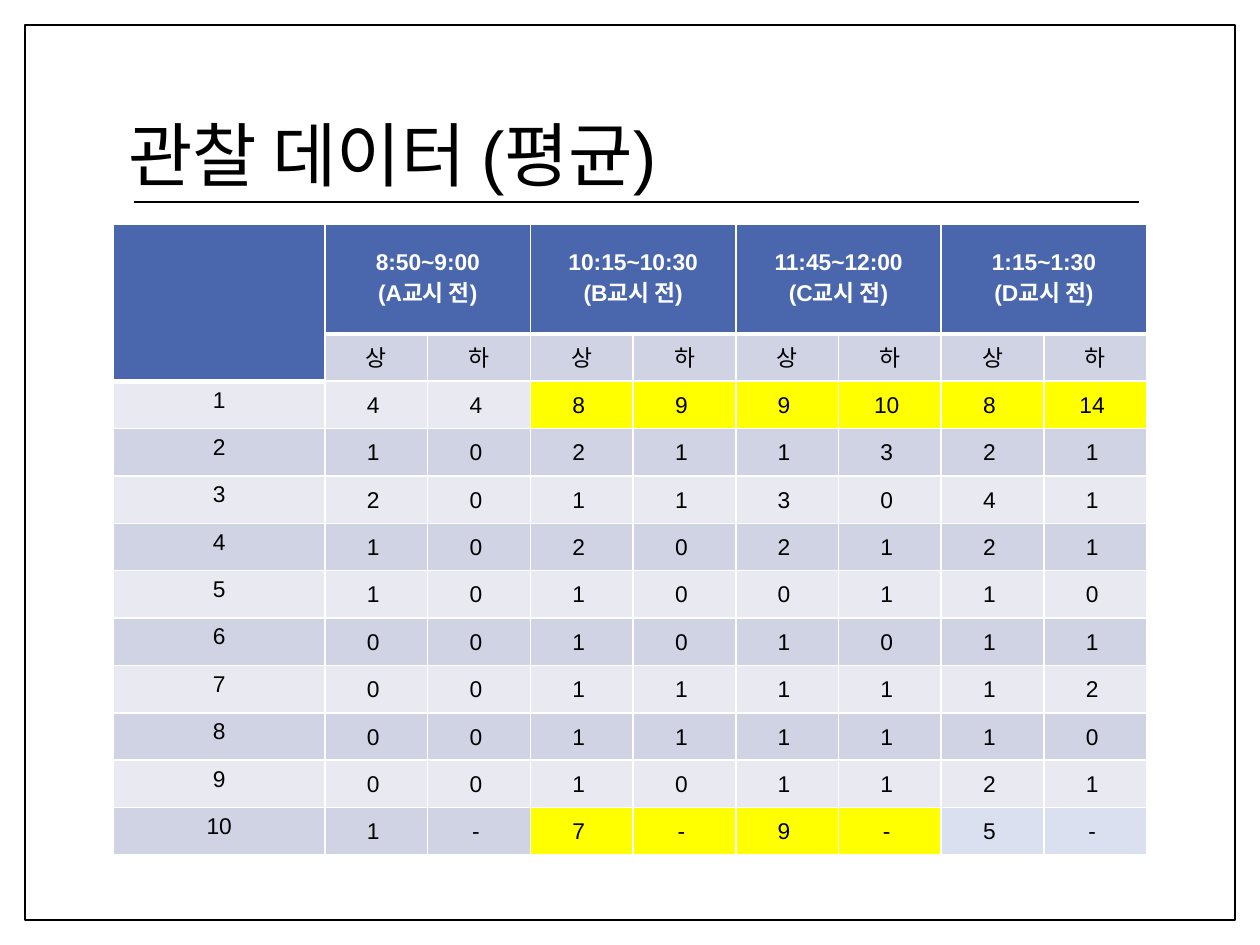
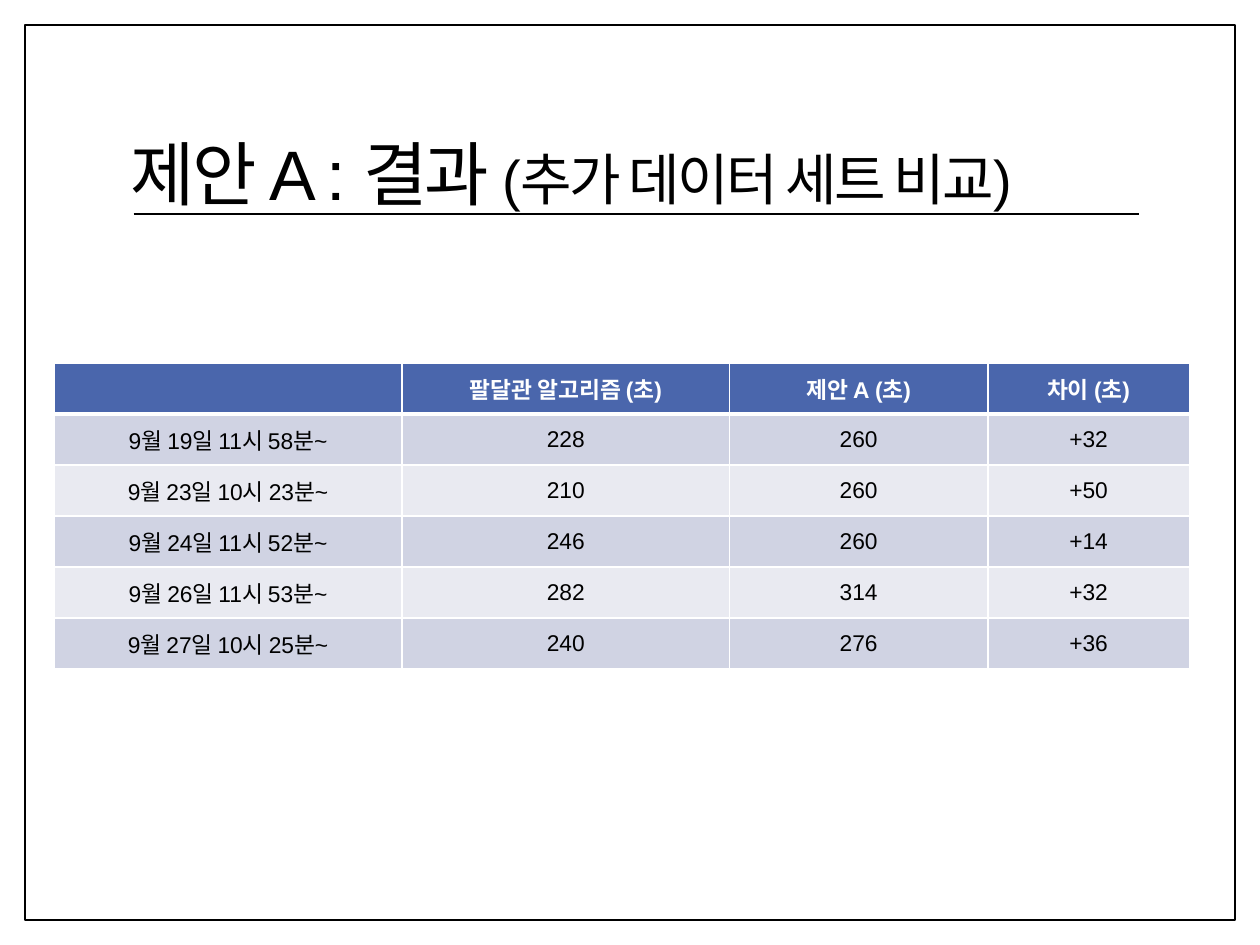
from lxml.etree import SubElement
from pptx import Presentation
from pptx.dml.color import RGBColor
from pptx.enum.shapes import MSO_CONNECTOR, MSO_SHAPE
from pptx.enum.text import MSO_ANCHOR, PP_ALIGN
from pptx.oxml.ns import qn
from pptx.util import Inches, Pt

# Content
OBSERVED_TITLE = [("관찰 데이터 (평균)", 40)]
PERIODS = ["8:50~9:00\n(A교시 전)", "10:15~10:30\n(B교시 전)",
           "11:45~12:00\n(C교시 전)", "1:15~1:30\n(D교시 전)"]
LEVELS = ["상", "하"]
OBSERVED = [
    [4, 4, 8, 9, 9, 10, 8, 14],
    [1, 0, 2, 1, 1, 3, 2, 1],
    [2, 0, 1, 1, 3, 0, 4, 1],
    [1, 0, 2, 0, 2, 1, 2, 1],
    [1, 0, 1, 0, 0, 1, 1, 0],
    [0, 0, 1, 0, 1, 0, 1, 1],
    [0, 0, 1, 1, 1, 1, 1, 2],
    [0, 0, 1, 1, 1, 1, 1, 0],
    [0, 0, 1, 0, 1, 1, 2, 1],
    [1, "-", 7, "-", 9, "-", 5, "-"],
]

RESULT_TITLE = [("제안 A : 결과 ", 40), ("(추가 데이터 세트 비교)", 32)]
RESULTS = [
    ["", "팔달관 알고리즘 (초)", "제안 A (초)", "차이 (초)"],
    ["9월 19일 11시 58분~", "228", "260", "+32"],
    ["9월 23일 10시 23분~", "210", "260", "+50"],
    ["9월 24일 11시 52분~", "246", "260", "+14"],
    ["9월 26일 11시 53분~", "282", "314", "+32"],
    ["9월 27일 10시 25분~", "240", "276", "+36"],
]

# Shared style
FONT = "Arial"
BLACK = RGBColor(0x00, 0x00, 0x00)
WHITE = RGBColor(0xFF, 0xFF, 0xFF)
HEADER = RGBColor(0x4A, 0x66, 0xAC)
BAND_DARK = RGBColor(0xD0, 0xD3, 0xE3)
BAND_LIGHT = RGBColor(0xE9, 0xEA, 0xF1)
HIGHLIGHT = RGBColor(0xFF, 0xFF, 0x00)
PALE_BLUE = RGBColor(0xDA, 0xE0, 0xEF)


def band(row):
    return BAND_DARK if row % 2 else BAND_LIGHT


def add_frame(s):
    sp = s.shapes.add_shape(MSO_SHAPE.RECTANGLE, Inches(0.2), Inches(0.2),
                            Inches(9.6), Inches(7.1))
    sp.shadow.inherit = False
    sp.fill.solid()
    sp.fill.fore_color.rgb = WHITE
    sp.line.color.rgb = BLACK
    sp.line.width = Pt(1)


def add_title(s, runs, left, top, spacing=None):
    sp = s.shapes.add_textbox(Inches(left), Inches(top), Inches(8.1), Inches(1.48))
    tf = sp.text_frame
    tf.word_wrap = True
    tf.vertical_anchor = MSO_ANCHOR.MIDDLE
    p = tf.paragraphs[0]
    p.line_spacing = 0.9
    for text, size in runs:
        r = p.add_run()
        r.text = text
        r.font.name = FONT
        r.font.size = Pt(size)
        r.font.color.rgb = BLACK
        if spacing:
            r._r.get_or_add_rPr().set("spc", str(int(spacing * 100)))


def add_rule(s, y):
    line = s.shapes.add_connector(MSO_CONNECTOR.STRAIGHT, Inches(1.06), Inches(y),
                                  Inches(9.04), Inches(y))
    line.line.color.rgb = BLACK
    line.line.width = Pt(1.25)
    SubElement(line._element.spPr, qn("a:effectLst"))


def add_table(s, left, top, widths, heights):
    table = s.shapes.add_table(len(heights), len(widths), Inches(left), Inches(top),
                               Inches(sum(widths)), Inches(sum(heights))).table
    table.first_row = table.horz_banding = False
    for column, width in zip(table.columns, widths):
        column.width = Inches(width)
    for row, height in zip(table.rows, heights):
        row.height = Inches(height)
    return table


def set_borders(cell, bottom):
    tcPr = cell._tc.get_or_add_tcPr()
    for side, width in (("L", 1), ("R", 1), ("T", 1), ("B", bottom)):
        ln = SubElement(tcPr, qn(f"a:ln{side}"), w=str(Pt(width)))
        fill = SubElement(ln, qn("a:solidFill"))
        SubElement(fill, qn("a:srgbClr"), val=str(WHITE))


def fill_cell(cell, text, fill, anchor=MSO_ANCHOR.MIDDLE, header=False, tight=False):
    set_borders(cell, 3 if header else 1)
    cell.fill.solid()
    cell.fill.fore_color.rgb = fill
    cell.vertical_anchor = anchor
    if tight:
        cell.margin_left = cell.margin_right = cell.margin_top = Inches(0.01)
        cell.margin_bottom = 0
    cell.text = text
    for p in cell.text_frame.paragraphs:
        p.alignment = PP_ALIGN.CENTER
        p.font.name = FONT
        p.font.size = Pt(13)
        p.font.bold = header
        p.font.color.rgb = WHITE if header else BLACK


def observed_fill(row, col):
    if row == 1 and col >= 3 or row == 10 and 3 <= col <= 6:
        return HIGHLIGHT
    if row == 10 and col > 6:
        return PALE_BLUE
    return band(row + 1)


def build_observed(s):
    add_frame(s)
    add_title(s, OBSERVED_TITLE, 0.92, 0.52)
    row_height = (5.01 - 0.87) / 11
    table = add_table(s, 0.9, 1.78, [1.68] + [(8.2 - 1.68) / 8] * 8,
                      [0.87] + [row_height] * 11)

    # Two header rows: periods over levels
    for row in (0, 1):
        fill_cell(table.cell(row, 0), "", HEADER, header=True)
    table.cell(0, 0).merge(table.cell(1, 0))
    for i, period in enumerate(PERIODS):
        first = 1 + 2 * i
        for j, level in enumerate(LEVELS):
            fill_cell(table.cell(0, first + j), "" if j else period, HEADER, header=True)
            fill_cell(table.cell(1, first + j), level, BAND_DARK, MSO_ANCHOR.TOP)
        table.cell(0, first).merge(table.cell(0, first + 1))

    # Numbered observations
    for n, values in enumerate(OBSERVED, 1):
        fill_cell(table.cell(n + 1, 0), str(n), band(n + 1), MSO_ANCHOR.TOP)
        for col, value in enumerate(values, 1):
            fill_cell(table.cell(n + 1, col), f"{value} ", observed_fill(n, col), tight=True)
    add_rule(s, 1.6)


def build_results(s):
    add_frame(s)
    add_title(s, RESULT_TITLE, 0.94, 0.67, spacing=-1.5)
    table = add_table(s, 0.43, 2.88, [2.76, 2.6, 2.05, 1.6], [2.43 / 6] * 6)
    for row, texts in enumerate(RESULTS):
        for col, text in enumerate(texts):
            fill_cell(table.cell(row, col), text, band(row) if row else HEADER,
                      header=row == 0)
    add_rule(s, 1.7)


def main():
    prs = Presentation()
    prs.slide_width, prs.slide_height = Inches(10), Inches(7.5)
    for build in (build_observed, build_results):
        build(prs.slides.add_slide(prs.slide_layouts[6]))
    prs.save("out.pptx")


if __name__ == "__main__":
    main()
